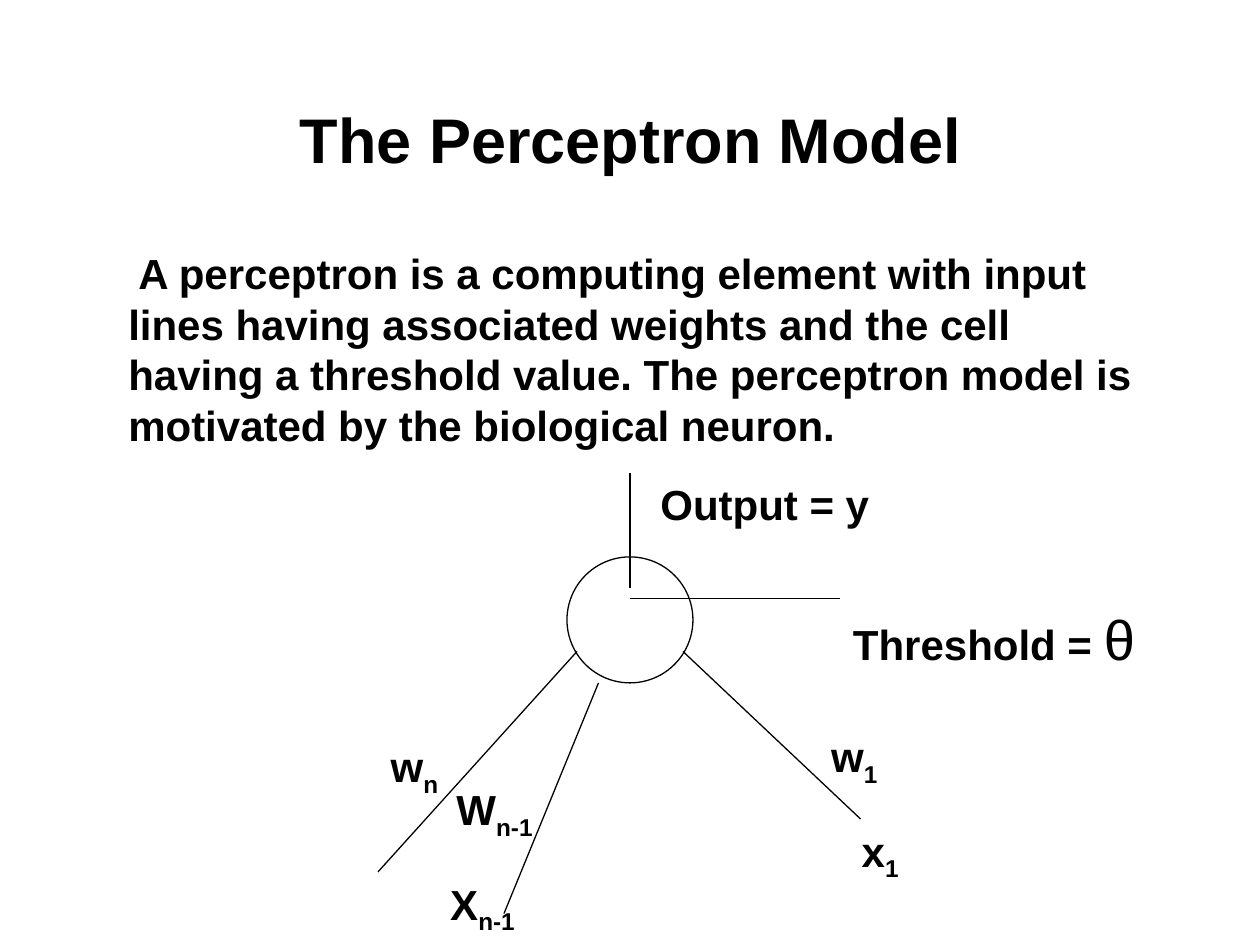
from pptx import Presentation
from pptx import util as u
from pptx.dml.color import RGBColor
from pptx.enum import shapes, text
from pptx.oxml.ns import qn
from lxml import etree

COLORS = {"ink": "000000", "paper": "FFFFFF"}


class Sketch:
    """Holds the style and the current slide."""

    font = "Arial"
    body_size = 24
    line_width = u.Pt(0.75)

    def __init__(self, page):
        self.page = page
        fill = page.background.fill
        fill.solid()
        fill.fore_color.rgb = self.color("paper")

    def color(self, name):
        return RGBColor.from_string(COLORS[name])

    def box(self, left, top, width, height, wrap=False):
        box = self.page.shapes.add_textbox(
            u.Inches(left), u.Inches(top), u.Inches(width), u.Inches(height))
        box.text_frame.word_wrap = wrap
        return box.text_frame

    def span(self, para, words, size=body_size, bold=True, subscript=False):
        span = para.add_run()
        span.text = words
        span.font.name = self.font
        span.font.size = u.Pt(size)
        span.font.bold = bold
        span.font.color.rgb = self.color("ink")
        if subscript:
            span.font._element.set("baseline", "-25000")

    def label(self, left, top, width, words, subscript="", height=0.5):
        para = self.box(left, top, width, height).paragraphs[0]
        para.alignment = text.PP_ALIGN.CENTER
        self.span(para, words)
        if subscript:
            self.span(para, subscript, subscript=True)
        return para

    def circle(self, left, top, size):
        shape = self.page.shapes.add_shape(
            shapes.MSO_SHAPE.OVAL, u.Inches(left), u.Inches(top),
            u.Inches(size), u.Inches(size))
        shape.shadow.inherit = False
        shape.fill.background()
        self.stroke(shape.line)

    def line(self, start, end):
        line = self.page.shapes.add_connector(
            shapes.MSO_CONNECTOR.STRAIGHT, *map(u.Inches, start + end))
        self.stroke(line.line)
        etree.SubElement(line._element.spPr, qn("a:effectLst"))

    def stroke(self, line):
        line.color.rgb = self.color("ink")
        line.width = self.line_width


def main():
    deck = Presentation()
    deck.slide_width, deck.slide_height = u.Inches(10), u.Inches(7.5)
    sketch = Sketch(deck.slides.add_slide(deck.slide_layouts[6]))

    # Title and definition
    frame = sketch.box(0.92, 0.75, 8.17, 2.9, wrap=True)
    title = frame.paragraphs[0]
    title.alignment = text.PP_ALIGN.CENTER
    sketch.span(title, "The Perceptron Model", size=36)
    definition = frame.add_paragraph()
    definition.space_before = u.Pt(41)
    sketch.span(definition, " A perceptron is a computing element with input lines "
                "having associated weights and the cell having a threshold value. "
                "The perceptron model is motivated by the biological neuron.")

    # Cell with its output, input and threshold lines
    sketch.circle(4.5, 4.42, 1)
    for start, end in [
        ((5, 3.75), (5, 4.67)),
        ((4.58, 5.17), (3, 6.92)),
        ((4.75, 5.42), (4, 7.25)),
        ((5.42, 5.17), (6.83, 6.5)),
        ((5, 4.75), (6.67, 4.75)),
    ]:
        sketch.line(start, end)

    # Output, weight and input labels
    for left, top, width, words, subscript in [
        (5.14, 3.75, 1.86, "Output = y", ""),
        (2.99, 5.83, 0.6, "w", "n"),
        (3.5, 6.17, 0.85, "W", "n-1"),
        (6.49, 5.75, 0.58, "w", "1"),
        (3.45, 6.92, 0.76, "X", "n-1"),
        (6.73, 6.5, 0.51, "x", "1"),
    ]:
        sketch.label(left, top, width, words, subscript)

    # Threshold label with a larger theta
    threshold = sketch.label(6.67, 4.75, 2.53, "Threshold = ", height=0.63)
    sketch.span(threshold, "θ", size=32, bold=False)
    sketch.span(threshold, " ")

    deck.save("out.pptx")


if __name__ == "__main__":
    main()
